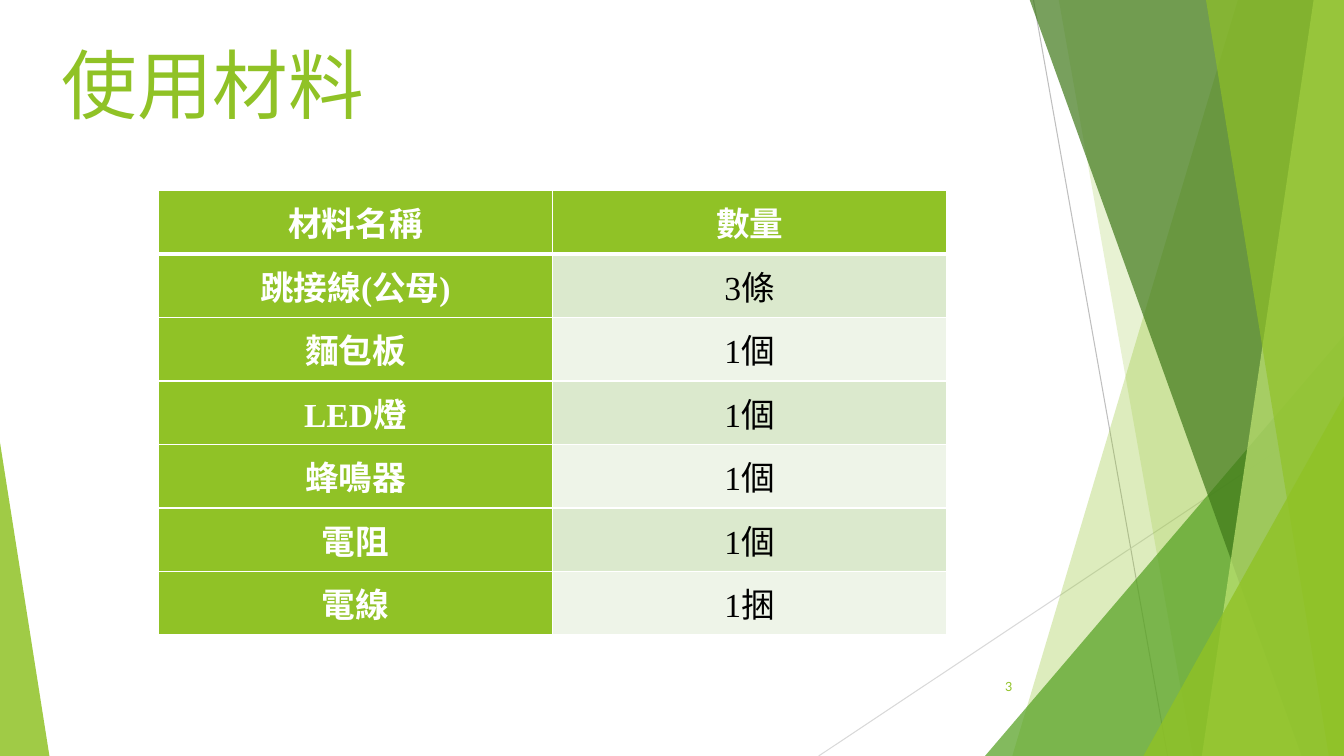
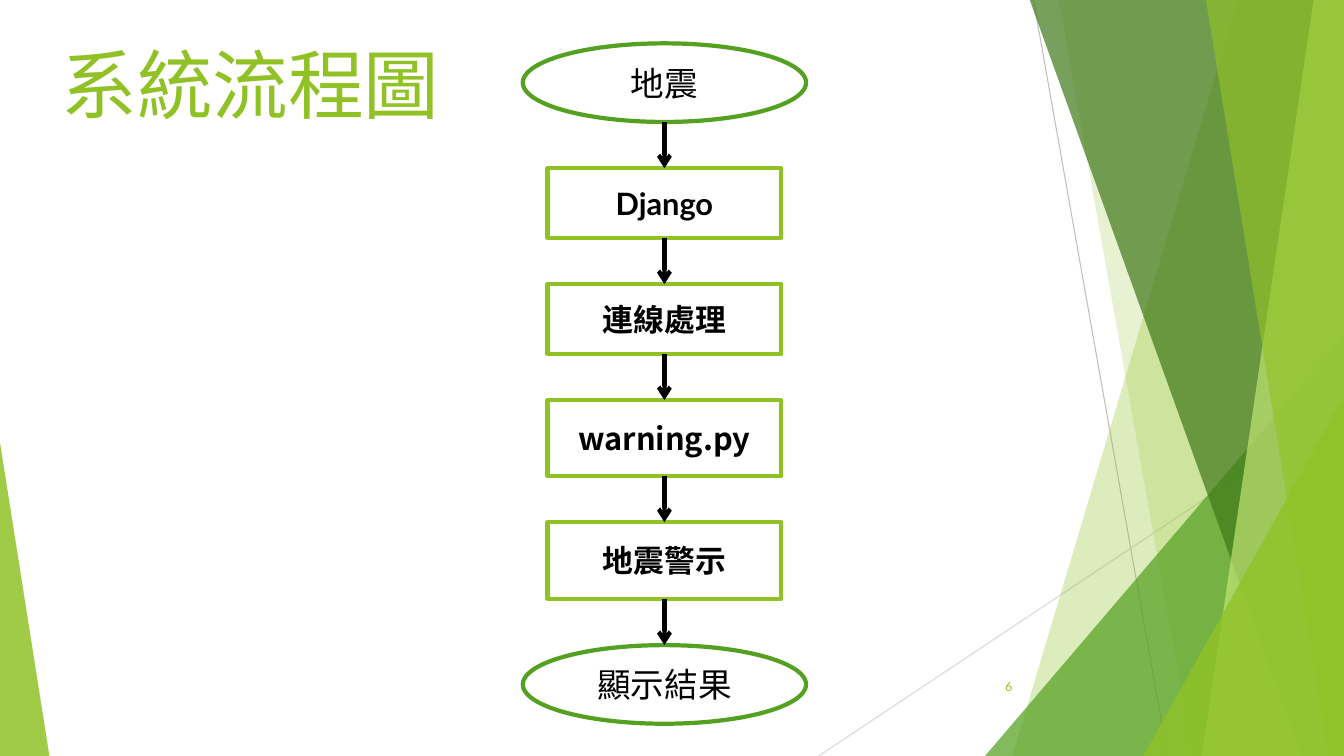
from pptx import Presentation
from pptx.dml.color import RGBColor
from pptx.enum.shapes import MSO_CONNECTOR as Connector, MSO_SHAPE as Preset
from pptx.enum.text import MSO_ANCHOR as Anchor, MSO_AUTO_SIZE as AutoSize, PP_ALIGN as Align
from pptx.oxml.ns import qn
from pptx.util import Inches, Pt
from lxml.etree import SubElement

COLOURS = {
    "lime": "90C226", "green": "54A021", "dark": "3F7819", "pale": "C0E474",
    "band_odd": "DBE9CD", "band_even": "EEF4E8",
    "grey": "BFBFBF", "light_grey": "D9D9D9", "white": "FFFFFF", "black": "000000",
}
RGB = {name: RGBColor.from_string(value) for name, value in COLOURS.items()}
SANS, LATO, SERIF = "Noto Sans CJK SC", "Lato", "Times New Roman"
WIDTH, HEIGHT = 13.33, 7.5


def write_text(frame, text, size=24, font=SANS, colour="black", bold=False, align=Align.CENTER):
    paragraph = frame.paragraphs[0]
    paragraph.alignment = align
    run = paragraph.add_run()
    run.text = text
    run.font.size = Pt(size)
    run.font.bold = bold
    run.font.color.rgb = RGB[colour]
    run.font.name = font
    SubElement(run.font._element, qn("a:ea"), typeface=SANS)


def add_line(shapes, start, end, colour, width):
    points = [Inches(value) for value in (*start, *end)]
    line = shapes.add_connector(Connector.STRAIGHT, *points)
    line.line.color.rgb = RGB[colour]
    line.line.width = Pt(width)
    SubElement(line.element.spPr, qn("a:effectLst"))
    return line


presentation = Presentation()
presentation.slide_width = Inches(WIDTH)
presentation.slide_height = Inches(HEIGHT)
layout = presentation.slide_layouts[5]
for placeholder in list(layout.placeholders):
    if placeholder.placeholder_format.idx != 0:
        placeholder.element.getparent().remove(placeholder.element)

# Titles and slide numbers
slides = []
for title_text, number in (("使用材料", "3"), ("系統流程圖", "6")):
    slide = presentation.slides.add_slide(layout)
    slides.append(slide)
    title = slide.shapes.title
    title.left, title.top = Inches(0.51), Inches(0.36)
    title.width, title.height = Inches(9.03), Inches(0.93)
    title.text_frame.auto_size = AutoSize.NONE
    title.text_frame.word_wrap = True
    title.text_frame.vertical_anchor = Anchor.MIDDLE
    write_text(title.text_frame, title_text, size=54, colour="lime", align=Align.LEFT)

    number_box = slide.shapes.add_textbox(Inches(9.39), Inches(6.61), Inches(0.75), Inches(0.4))
    number_box.text_frame.word_wrap = True
    number_box.text_frame.vertical_anchor = Anchor.MIDDLE
    write_text(number_box.text_frame, number, size=9, font=LATO, colour="lime", align=Align.RIGHT)
materials_slide, flow_slide = slides

# Facet decoration, grouped and placed on the shared layout
facets = materials_slide.shapes.add_group_shape()
add_line(facets.shapes, (10.25, 0), (11.58, HEIGHT), "grey", 0.75)
add_line(facets.shapes, (WIDTH, 4.03), (8.12, HEIGHT), "light_grey", 0.75)

# Panels reach the right edge: (top x, bottom x)
# Triangles stand on the bottom edge: (left, top, width, apex position)
facet_rows = [
    ("lime", 30, (12.28, 10.04)),
    ("lime", 20, (10.5, 11.83)),
    ("green", 72, (9.77, 3.33, 3.56, 1)),
    ("dark", 70, (10.21, 12.91)),
    ("pale", 70, (13.03, 11.92)),
    ("lime", 65, (11.96, 13.18)),
    ("lime", 80, (11.34, 3.93, 1.99, 1)),
    ("lime", 85, (0, 4.39, 0.49, 0)),
]
for colour, opacity, geometry in facet_rows:
    if len(geometry) == 2:
        top_x, bottom_x = geometry
        builder = facets.shapes.build_freeform(Inches(top_x), Inches(-0.01))
        corners = [(WIDTH, -0.01), (WIDTH, HEIGHT), (bottom_x, HEIGHT)]
        builder.add_line_segments([(Inches(x), Inches(y)) for x, y in corners], close=True)
        facet = builder.convert_to_shape()
    else:
        left, top, width, apex = geometry
        facet = facets.shapes.add_shape(
            Preset.ISOSCELES_TRIANGLE, Inches(left), Inches(top), Inches(width), Inches(HEIGHT - top))
        facet.adjustments[0] = apex
    facet.shadow.inherit = False
    facet.line.fill.background()
    facet.fill.solid()
    facet.fill.fore_color.rgb = RGB[colour]
    colour_element = facet.element.spPr.find(".//" + qn("a:srgbClr"))
    SubElement(colour_element, qn("a:alpha"), val=str(opacity * 1000))
layout.shapes.element.insert(2, facets.element)

# Materials table
materials = [
    ("材料名稱", "數量"),
    ("跳接線(公母)", "3條"),
    ("麵包板", "1個"),
    ("LED燈", "1個"),
    ("蜂鳴器", "1個"),
    ("電阻", "1個"),
    ("電線", "1捆"),
]
table = materials_slide.shapes.add_table(
    len(materials), 2, Inches(1.57), Inches(1.89), Inches(7.82), Inches(0.63 * len(materials))).table
table.horz_banding = False
for row_index, row in enumerate(materials):
    for column_index, text in enumerate(row):
        cell = table.cell(row_index, column_index)
        is_heading = row_index == 0 or column_index == 0
        band = "band_odd" if row_index % 2 else "band_even"
        cell.margin_left = cell.margin_right = Inches(0.07)
        cell.margin_top = cell.margin_bottom = 0
        cell.vertical_anchor = Anchor.MIDDLE
        write_text(cell.text_frame, text, font=SERIF, bold=is_heading,
                   colour="white" if is_heading else "black")
        properties = cell._tc.get_or_add_tcPr()
        for side in "LRTB":
            thick = (row_index, side) in ((0, "B"), (1, "T"))
            border = SubElement(properties, qn("a:ln" + side), w=str(Pt(3 if thick else 1)))
            border_fill = SubElement(border, qn("a:solidFill"))
            SubElement(border_fill, qn("a:srgbClr"), val=COLOURS["white"])
        cell.fill.solid()
        cell.fill.fore_color.rgb = RGB["lime" if is_heading else band]

# Flow chart: steps stacked on one axis with equal gaps
CENTRE_X, GAP = 6.59, 0.46
steps = [
    ("地震", Preset.OVAL, 0.78, SANS),
    ("Django", Preset.RECTANGLE, 0.69, LATO),
    ("連線處理", Preset.RECTANGLE, 0.69, LATO),
    ("warning.py", Preset.RECTANGLE, 0.75, SANS),
    ("地震警示", Preset.RECTANGLE, 0.76, SANS),
    ("顯示結果", Preset.OVAL, 0.78, SANS),
]
top = 0.43
previous = None
for text, preset, height, font in steps:
    is_box = preset == Preset.RECTANGLE
    width = 2.32 if is_box else 2.81
    step = flow_slide.shapes.add_shape(
        preset, Inches(CENTRE_X - width / 2), Inches(top), Inches(width), Inches(height))
    step.shadow.inherit = False
    step.fill.solid()
    step.fill.fore_color.rgb = RGB["white"]
    step.line.color.rgb = RGB["lime" if is_box else "green"]
    step.line.width = Pt(3)
    step.text_frame.word_wrap = True
    step.text_frame.vertical_anchor = Anchor.MIDDLE
    write_text(step.text_frame, text, size=22 if is_box else 24, font=font, bold=is_box)

    if previous is not None:
        arrow = add_line(flow_slide.shapes, (CENTRE_X, top - GAP), (CENTRE_X, top), "black", 3)
        SubElement(arrow.get_or_add_ln(), qn("a:tailEnd"), type="arrow")
        if previous.auto_shape_type == Preset.RECTANGLE:
            arrow.begin_connect(previous, 2)
        arrow.end_connect(step, 0)
    previous = step
    top += height + GAP

presentation.save("out.pptx")
